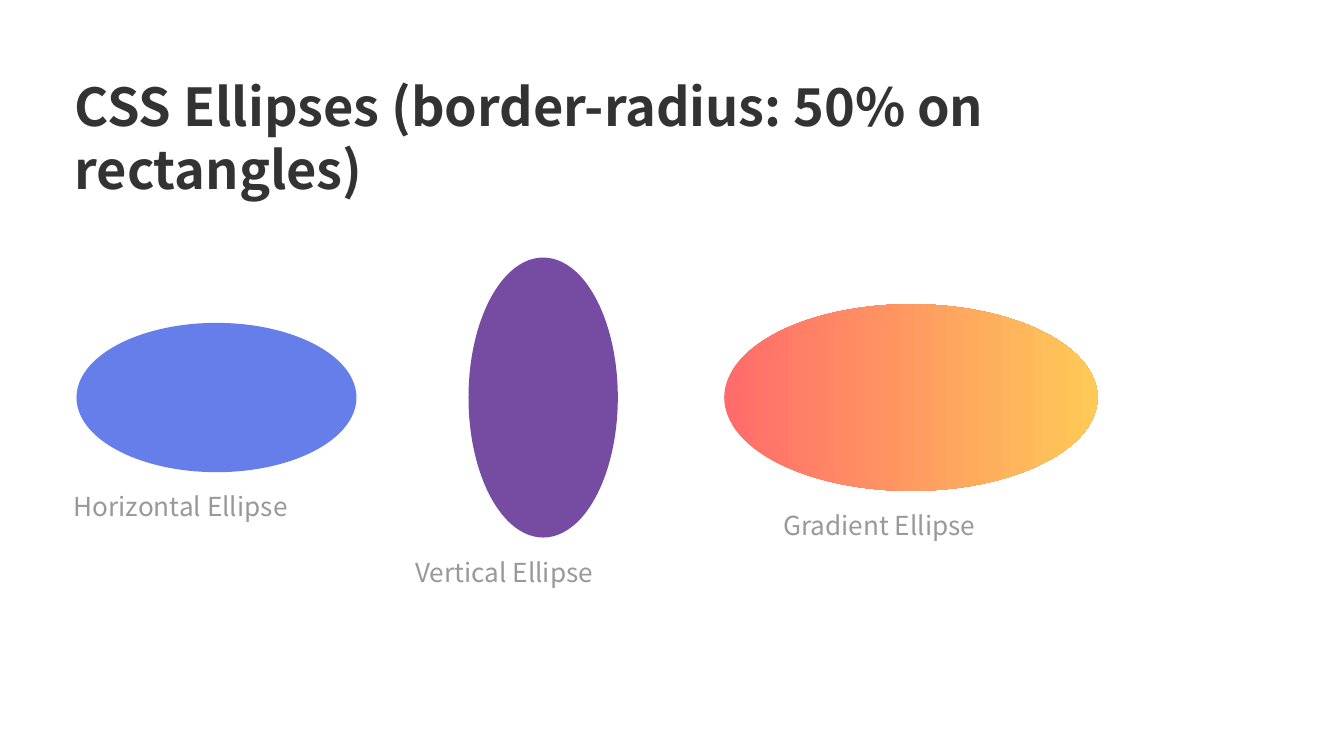
from dataclasses import dataclass

from pptx import Presentation, util as u
from pptx.dml.color import RGBColor
from pptx.enum import shapes, text

PX = u.Inches(1) // 72


@dataclass(frozen=True)
class Theme:
    font: str = "Noto Sans CJK SC"
    ink: str = "333333"
    muted: str = "999999"
    head: int = 28
    label: int = 14


THEME = Theme()

# Label, label width, left, ellipse width, ellipse height, colours
ITEMS = [
    ("Horizontal Ellipse", 153, 41, 150, 80, ["667EEA"]),
    ("Vertical Ellipse", 137, 251, 80, 150, ["764BA2"]),
    ("Gradient Ellipse", 137, 388, 200, 100, ["FF6B6B", "FECA57"]),
]


def scale(*box):
    return [round(n * PX) for n in box]


def write(shape, words, size, color, bold=False):
    frame = shape.text_frame
    frame.text = words
    frame.word_wrap = True
    frame.auto_size = text.MSO_AUTO_SIZE.NONE
    frame.vertical_anchor = text.MSO_ANCHOR.TOP
    frame.margin_left = frame.margin_right = 0
    frame.margin_top = frame.margin_bottom = 0
    line = frame.paragraphs[0]
    line.alignment = text.PP_ALIGN.LEFT
    font = line.runs[0].font
    font.name, font.size, font.bold = THEME.font, u.Pt(size), bold
    font.color.rgb = RGBColor.from_string(color)


def add_title(slide, box, words):
    title = slide.shapes.title
    title.left, title.top, title.width, title.height = scale(*box)
    write(title, words, THEME.head, THEME.ink, True)


def paint(shape, colors):
    fill = shape.fill
    if len(colors) == 1:
        fill.solid()
        fill.fore_color.rgb = RGBColor.from_string(colors[0])
        return
    fill.gradient()
    fill.gradient_angle = 0
    for stop, color, pos in zip(fill.gradient_stops, colors, (0, 1)):
        stop.color.rgb = RGBColor.from_string(color)
        stop.position = pos


def add_item(group, box, words, span, colors):
    x, y, w, h = box
    # Ellipse
    oval = group.shapes.add_shape(shapes.MSO_SHAPE.OVAL, *scale(*box))
    oval.shadow.inherit = False
    oval.line.fill.background()
    paint(oval, colors)
    # Label, centred below the ellipse
    label = group.shapes.add_textbox(
        *scale(x + (w - span) / 2, y + h + 10, span, 20))
    write(label, words, THEME.label, THEME.muted)


def add_row(slide, box):
    left, top, height = box
    group = slide.shapes.add_group_shape()
    for words, span, x, w, h, colors in ITEMS:
        y = top + (height - h) / 2
        add_item(group, (left + x, y, w, h), words, span, colors)


def main():
    deck = Presentation()
    deck.slide_width, deck.slide_height = scale(720, 405)
    slide = deck.slides.add_slide(deck.slide_layouts[5])
    add_title(slide, (40, 40, 640, 79),
              "CSS Ellipses (border-radius: 50% on rectangles)")
    add_row(slide, (0, 138, 150))
    deck.save("out.pptx")


if __name__ == "__main__":
    main()
